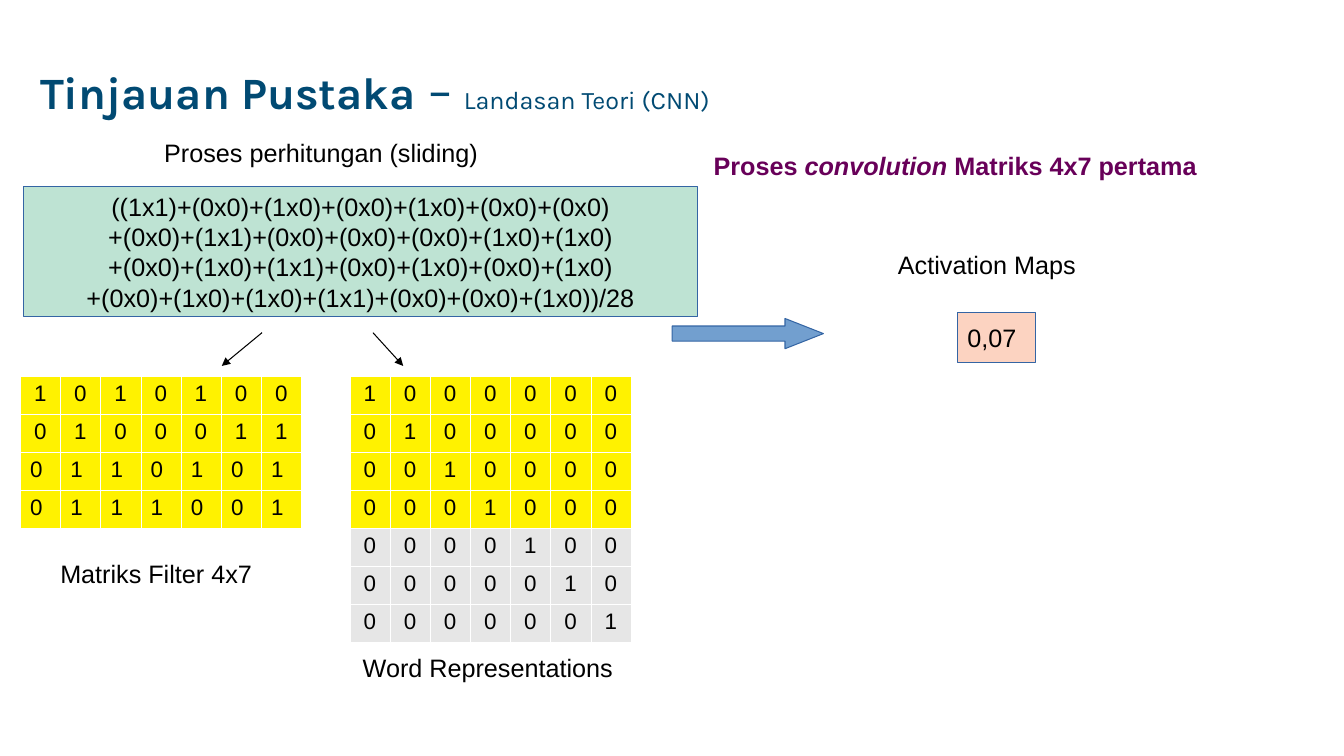
from lxml import etree
from pptx import Presentation
from pptx.dml.color import RGBColor as RGB
from pptx.enum.shapes import MSO_CONNECTOR as CONN, MSO_SHAPE as SHAPE
from pptx.enum.text import MSO_ANCHOR as ANCHOR, PP_ALIGN as ALIGN
from pptx.oxml.ns import qn
from pptx.util import Pt

# Content: runs are (text, format name)
TITLE = [("Tinjauan Pustaka", "title"), (" – ", "dash"),
         ("Landasan Teori (CNN)", "subtitle")]
HEADING = [("Proses ", "heading"), ("convolution", "heading_italic"),
           (" Matriks 4x7 pertama", "heading")]
FORMULA = [
    "((1x1)+(0x0)+(1x0)+(0x0)+(1x0)+(0x0)+(0x0)",
    "+(0x0)+(1x1)+(0x0)+(0x0)+(0x0)+(1x0)+(1x0)",
    "+(0x0)+(1x0)+(1x1)+(0x0)+(1x0)+(0x0)+(1x0)",
    "+(0x0)+(1x0)+(1x0)+(1x1)+(0x0)+(0x0)+(1x0))/28",
]
RESULT = "0,07"
FILTER = ["1010100", "0100011", "0110101", "0111001"]
WORDS = ["".join("1" if c == r else "0" for c in range(7)) for r in range(7)]
CAPTIONS = [  # text, left, top, width
    ("Matriks Filter 4x7", 36, 395.3, 186),
    ("Word Representations", 252, 462.2, 223),
    ("Proses perhitungan (sliding)", 110.2, 94.3, 297),
    ("Activation Maps", 634.3, 174.2, 165),
]
POINTERS = [(187.2, 237.6, 158.4, 261.4), (266.4, 237.6, 288, 261.4)]
TABLES = [  # rows, left, number of centred rows
    (WORDS, 249.8, 7),
    (FILTER, 14.4, 2),
]
TABLE_TOP, COL_W, ROW_H, WINDOW = 268.6, 28.7, 27.15, 4

# Theme
THEME = {
    "line": RGB(0x34, 0x65, 0xA4), "arrow": RGB(0x72, 0x9F, 0xCF),
    "formula": RGB(0xBE, 0xE3, 0xD3), "result": RGB(0xFC, 0xD3, 0xC1),
    "window": RGB(0xFF, 0xF2, 0x00), "rest": RGB(0xE6, 0xE6, 0xE6),
    "ink": RGB(0, 0, 0), "navy": RGB(0x01, 0x4A, 0x73),
    "plum": RGB(0x68, 0x00, 0x59), "border": "FFFFFF",
}
BODY = {"name": "Arial", "size": Pt(18), "color": THEME["ink"]}
KARLA = {"name": "Karla", "color": THEME["navy"], "bold": False}
HEAD = {**BODY, "color": THEME["plum"], "bold": True}
FORMATS = {
    "body": BODY,
    "cell": {**BODY, "size": Pt(16)},
    "title": {**KARLA, "size": Pt(32), "bold": True},
    "dash": {**KARLA, "size": Pt(36)},
    "subtitle": {**KARLA, "size": Pt(18)},
    "heading": HEAD,
    "heading_italic": {**HEAD, "italic": True},
}


def add_runs(p, runs):
    for text, fmt in runs:
        r = p.add_run()
        r.text = text
        for key, value in FORMATS[fmt].items():
            if key == "color":
                r.font.color.rgb = value
            else:
                setattr(r.font, key, value)


def add_text(s, runs, left, top, width, height, anchor=ANCHOR.TOP):
    sp = s.shapes.add_textbox(Pt(left), Pt(top), Pt(width), Pt(height))
    tf = sp.text_frame
    tf.word_wrap, tf.vertical_anchor = True, anchor
    add_runs(tf.paragraphs[0], runs)
    return tf.paragraphs[0]


def add_box(s, kind, fill, left, top, width, height, lines=(), align=ALIGN.LEFT):
    sp = s.shapes.add_shape(kind, Pt(left), Pt(top), Pt(width), Pt(height))
    sp.shadow.inherit = False
    sp.fill.solid()
    sp.fill.fore_color.rgb = THEME[fill]
    sp.line.color.rgb, sp.line.width = THEME["line"], Pt(0.75)
    tf = sp.text_frame
    tf.word_wrap, tf.vertical_anchor = False, ANCHOR.MIDDLE
    for i, line in enumerate(lines):
        p = tf.add_paragraph() if i else tf.paragraphs[0]
        p.alignment = align
        add_runs(p, [(line, "body")])
    return sp


def add_borders(cell):
    tcPr = cell._tc.get_or_add_tcPr()
    for i, side in enumerate(("lnL", "lnR", "lnT", "lnB")):
        ln = etree.Element(qn("a:" + side), w=str(int(Pt(0.06))))
        fill = etree.SubElement(ln, qn("a:solidFill"))
        etree.SubElement(fill, qn("a:srgbClr"), val=THEME["border"])
        tcPr.insert(i, ln)


def add_matrix(s, rows, left, centred):
    n = len(rows[0])
    table = s.shapes.add_table(len(rows), n, Pt(left), Pt(TABLE_TOP),
                               Pt(COL_W * n), Pt(ROW_H * len(rows))).table
    table.first_row = table.horz_banding = False
    for col in table.columns:
        col.width = Pt(COL_W)
    for i, digits in enumerate(rows):
        table.rows[i].height = Pt(ROW_H)
        for j, digit in enumerate(digits):
            cell = table.cell(i, j)
            cell.fill.solid()
            cell.fill.fore_color.rgb = THEME["window" if i < WINDOW else "rest"]
            add_borders(cell)
            p = cell.text_frame.paragraphs[0]
            p.alignment = ALIGN.CENTER if i < centred else ALIGN.LEFT
            add_runs(p, [(digit, "cell")])


def add_pointer(s, x1, y1, x2, y2):
    line = s.shapes.add_connector(CONN.STRAIGHT, Pt(x1), Pt(y1), Pt(x2), Pt(y2))
    line.line.color.rgb, line.line.width = THEME["ink"], Pt(0.75)
    etree.SubElement(line.line._get_or_add_ln(), qn("a:tailEnd"), type="triangle")
    etree.SubElement(line._element.spPr, qn("a:effectLst"))


def main():
    prs = Presentation()
    prs.slide_width, prs.slide_height = Pt(960), Pt(540)
    s = prs.slides.add_slide(prs.slide_layouts[6])

    # Title and matrices
    add_text(s, TITLE, 21.6, 14.4, 561.6, 104.4, ANCHOR.MIDDLE).line_spacing = 0.9
    for matrix in TABLES:
        add_matrix(s, *matrix)

    # Calculation, arrow and result
    add_box(s, SHAPE.RECTANGLE, "formula", 17.1, 133.2, 481, 93, FORMULA, ALIGN.CENTER)
    arrow = add_box(s, SHAPE.RIGHT_ARROW, "arrow", 480.2, 227.5, 108, 21.6)
    arrow.adjustments[0], arrow.adjustments[1] = 0.5, 1.27
    add_box(s, SHAPE.RECTANGLE, "result", 684, 223.2, 55.4, 36, [RESULT])

    # Captions, pointers and heading
    for text, left, top, width in CAPTIONS:
        add_text(s, [(text, "body")], left, top, width, 27.4)
    for pointer in POINTERS:
        add_pointer(s, *pointer)
    add_text(s, HEADING, 502.6, 103.7, 445.7, 47.5)

    prs.save("out.pptx")


if __name__ == "__main__":
    main()
